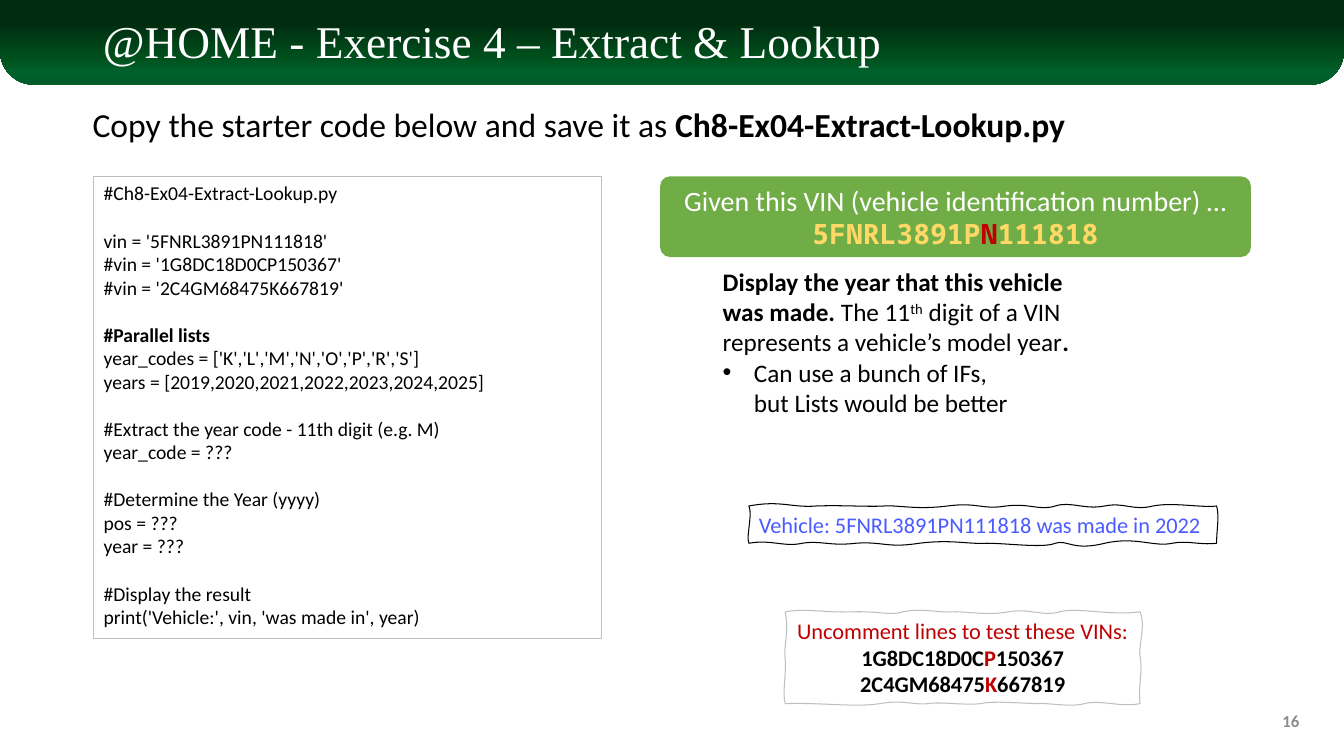
from dataclasses import dataclass

from lxml.etree import SubElement
from pptx import Presentation
from pptx.dml.color import RGBColor
from pptx.enum.shapes import MSO_SHAPE as Preset
from pptx.enum.text import MSO_ANCHOR as Anchor, MSO_AUTO_SIZE as AutoSize, PP_ALIGN as Align
from pptx.oxml.ns import qn
from pptx.util import Inches, Pt


@dataclass(frozen=True)
class Theme:
    black: str = "000000"
    white: str = "FFFFFF"
    red: str = "C00000"
    green: str = "70AD47"
    yellow: str = "FFD966"
    blue: str = "4A5BFF"
    border: str = "BFBFBF"
    gray: str = "8C8C8C"
    header: tuple = ((0, "002D10"), (28, "002D10"), (68, "00501D"), (85, "00602B"), (100, "005C2B"))
    body_font: str = "Calibri"
    title_font: str = "Times New Roman"
    mono_font: str = "Noto Sans Mono"
    title: float = 32.4
    lead: int = 24
    banner: int = 20
    task: int = 18
    note: int = 16
    code: int = 14
    number: int = 12


theme = Theme()
PX = 9144  # EMU per px, 100 px to the inch
YEAR_DIGIT = 11
BOLD = {"bold": True}
RED = {"color": theme.red}


def vin_runs(vin, **style):
    """Split a VIN so that its year digit stands out in red."""
    at = YEAR_DIGIT - 1
    return [(vin[:at], style), (vin[at], {**style, **RED}), (vin[at + 1:], style)]


# Content
TITLE = "@HOME - Exercise 4 – Extract & Lookup"
PAGE = "16"
LEAD = [[("Copy the starter code below and save it as ", {}), ("Ch8-Ex04-Extract-Lookup.py", BOLD)]]
CODE_BLOCKS = [
    ["#Ch8-Ex04-Extract-Lookup.py"],
    ["vin = '5FNRL3891PN111818'", "#vin = '1G8DC18D0CP150367'", "#vin = '2C4GM68475K667819'"],
    ["#Parallel lists", "year_codes = ['K','L','M','N','O','P','R','S']",
     "years = [2019,2020,2021,2022,2023,2024,2025]"],
    ["#Extract the year code - 11th digit (e.g. M)", "year_code = ???"],
    ["#Determine the Year (yyyy)", "pos = ???", "year = ???"],
    ["#Display the result", "print('Vehicle:', vin, 'was made in', year)"],
]
BOLD_CODE = "#Parallel lists"
BANNER = [
    [("Given this VIN (vehicle identification number) …", {})],
    vin_runs("5FNRL3891PN111818", font=theme.mono_font, color=theme.yellow, bold=True),
]
TASK = [
    [("Display the year that this vehicle was made. ", BOLD), ("The 11", {}), ("th", {"baseline": 30}),
     (" digit of a VIN represents a vehicle’s model year", {}), (".", BOLD)],
    [("Can use a bunch of IFs,\nbut Lists would be better", {})],
]
RESULT = [[("Vehicle: 5FNRL3891PN111818 was made in 2022", {})]]
TESTS = [[("Uncomment lines to test these VINs:", RED)]] + [
    vin_runs(vin, bold=True) for vin in ("1G8DC18D0CP150367", "2C4GM68475K667819")]

# Hand-drawn frames: a start point, then three points per curve
TESTS_FRAME = [
    (779, 607), (800, 603), (816, 608), (844, 607), (873, 606), (882, 611), (896, 607),
    (911, 603), (934, 608), (944, 607), (955, 606), (979, 611), (1000, 607),
    (1021, 603), (1035, 612), (1051, 607), (1068, 602), (1100, 611), (1131, 607),
    (1137, 620), (1129, 642), (1131, 652), (1134, 663), (1129, 680), (1131, 698),
    (1113, 702), (1091, 694), (1076, 698), (1062, 702), (1040, 697), (1028, 698),
    (1016, 698), (986, 695), (973, 698), (959, 700), (932, 696), (921, 698),
    (910, 700), (895, 694), (873, 698), (850, 702), (817, 697), (779, 698),
    (776, 689), (780, 669), (779, 655), (777, 641), (783, 628), (779, 607)]
RESULT_FRAME = [
    (743, 502), (775, 496), (785, 504), (810, 502), (835, 501), (862, 503), (877, 502),
    (892, 501), (909, 506), (940, 502), (970, 498), (974, 506), (998, 502),
    (1022, 499), (1031, 507), (1047, 502), (1062, 497), (1076, 506), (1096, 502),
    (1115, 498), (1124, 507), (1144, 502), (1164, 498), (1192, 504), (1207, 502),
    (1210, 513), (1207, 524), (1207, 539), (1189, 541), (1180, 536), (1163, 539),
    (1145, 543), (1127, 532), (1096, 539), (1064, 547), (1059, 535), (1047, 539),
    (1035, 544), (1000, 539), (979, 539), (959, 540), (944, 535), (912, 539),
    (880, 544), (876, 537), (849, 539), (823, 542), (814, 536), (796, 539),
    (778, 543), (765, 535), (743, 539), (740, 532), (747, 511), (743, 502)]


def box(left, top, width, height):
    return [value * PX for value in (left, top, width, height)]


def write(shape, paragraphs, *, size, color=theme.black, font=theme.body_font, bold=False,
          align=Align.LEFT, anchor=Anchor.TOP, wrap=True, spacing=1.0, gaps=(), bullets=()):
    """Fill a shape; gaps holds paragraphs with a line of space above, bullets the listed ones."""
    frame = shape.text_frame
    frame.auto_size, frame.word_wrap, frame.vertical_anchor = AutoSize.NONE, wrap, anchor
    for index, runs in enumerate(paragraphs):
        paragraph = frame.paragraphs[0] if index == 0 else frame.add_paragraph()
        props = paragraph._p.get_or_add_pPr()
        indent = 31 * PX if index in bullets else 0
        props.set("marL", str(indent))
        props.set("indent", str(-indent))
        if indent:
            SubElement(props, qn("a:buChar"), char="•")
        else:
            SubElement(props, qn("a:buNone"))
        paragraph.alignment, paragraph.line_spacing = align, spacing
        paragraph.space_before = Pt(size * 1.2 if index in gaps else 0)
        for text, style in runs:
            for number, line in enumerate(text.split("\n")):
                if number:
                    paragraph.add_line_break()
                    SubElement(paragraph._p[-1], qn("a:rPr"), sz=str(round(size * 100)))
                run = paragraph.add_run()
                run.text = line
                run.font.size, run.font.name = Pt(size), style.get("font", font)
                run.font.bold = style.get("bold", bold)
                run.font.color.rgb = RGBColor.from_string(style.get("color", color))
                if "baseline" in style:
                    run._r.get_or_add_rPr().set("baseline", str(style["baseline"] * 1000))


def paint(shape, fill=None, line=None):
    shape.shadow.inherit = False
    if fill:
        shape.fill.solid()
        shape.fill.fore_color.rgb = RGBColor.from_string(fill)
    else:
        shape.fill.background()
    if line:
        shape.line.color.rgb = RGBColor.from_string(line)
        shape.line.width = Pt(0.75)
    else:
        shape.line.fill.background()
    return shape


def wavy_frame(shapes, points, line):
    """Draw a closed outline, then bend each straight side into its cubic curve."""
    corners = [(x * PX, y * PX) for x, y in points[::3]]
    builder = shapes.build_freeform(*corners[0], scale=1.0)
    builder.add_line_segments(corners[1:], close=True)
    frame = builder.convert_to_shape()
    for side, segment in enumerate(list(frame._element.iter(qn("a:lnTo")))):
        segment.tag = qn("a:cubicBezTo")
        for position, (x, y) in enumerate(points[side * 3 + 1:side * 3 + 3]):
            control = SubElement(segment, qn("a:pt"), x=str(x * PX - frame.left), y=str(y * PX - frame.top))
            segment.insert(position, control)
    return paint(frame, line=line)


def main():
    deck = Presentation()
    deck.slide_width, deck.slide_height = Inches(40 / 3), Inches(7.5)
    slide = deck.slides.add_slide(deck.slide_layouts[1])
    shapes = slide.shapes
    title, task = slide.placeholders

    # Header band behind the title
    header = paint(shapes.add_shape(Preset.ROUND_2_SAME_RECTANGLE, 0, 0, deck.slide_width, 84 * PX))
    header.adjustments[0], header.adjustments[1] = 0, 0.4
    header.fill.gradient()
    header.fill.gradient_angle = 270
    stops = header._element.spPr.find(qn("a:gradFill")).find(qn("a:gsLst"))
    for stop in list(stops):
        stops.remove(stop)
    for position, color in theme.header:
        stop = SubElement(stops, qn("a:gs"), pos=str(position * 1000))
        SubElement(stop, qn("a:srgbClr"), val=color)
    title._element.addprevious(header._element)

    title.left, title.top, title.width, title.height = box(92, 13, 1150, 61)
    write(title, [[(TITLE, {})]], size=theme.title, color=theme.white, font=theme.title_font,
          anchor=Anchor.MIDDLE, spacing=0.9)
    page = shapes.add_textbox(*box(999, 695, 300, 40))
    write(page, [[(PAGE, {})]], size=theme.number, color=theme.gray, bold=True,
          align=Align.RIGHT, anchor=Anchor.MIDDLE)

    # Starter code
    write(shapes.add_textbox(*box(82, 98, 995, 50)), LEAD, size=theme.lead, wrap=False)
    lines, gaps = [], []
    for block in CODE_BLOCKS:
        if lines:
            gaps.append(len(lines))
        lines += [[(line, {"bold": line == BOLD_CODE})] for line in block]
    code = paint(shapes.add_shape(Preset.RECTANGLE, *box(93, 175, 504, 458)), line=theme.border)
    write(code, lines, size=theme.code, gaps=gaps)

    # VIN banner and task
    banner = paint(shapes.add_shape(Preset.ROUNDED_RECTANGLE, *box(655, 175, 586, 80)), fill=theme.green)
    banner.adjustments[0] = 0.12
    write(banner, BANNER, size=theme.banner, color=theme.white, align=Align.CENTER, anchor=Anchor.MIDDLE)
    task.left, task.top, task.width, task.height = box(707, 259, 396, 162)
    write(task, TASK, size=theme.task, bullets=(1,))

    # Test VINs and expected result
    write(wavy_frame(shapes, TESTS_FRAME, theme.border), TESTS, size=theme.note,
          align=Align.CENTER, wrap=False)
    write(wavy_frame(shapes, RESULT_FRAME, theme.black), RESULT, size=theme.note,
          color=theme.blue, wrap=False)
    deck.save("out.pptx")


if __name__ == "__main__":
    main()
